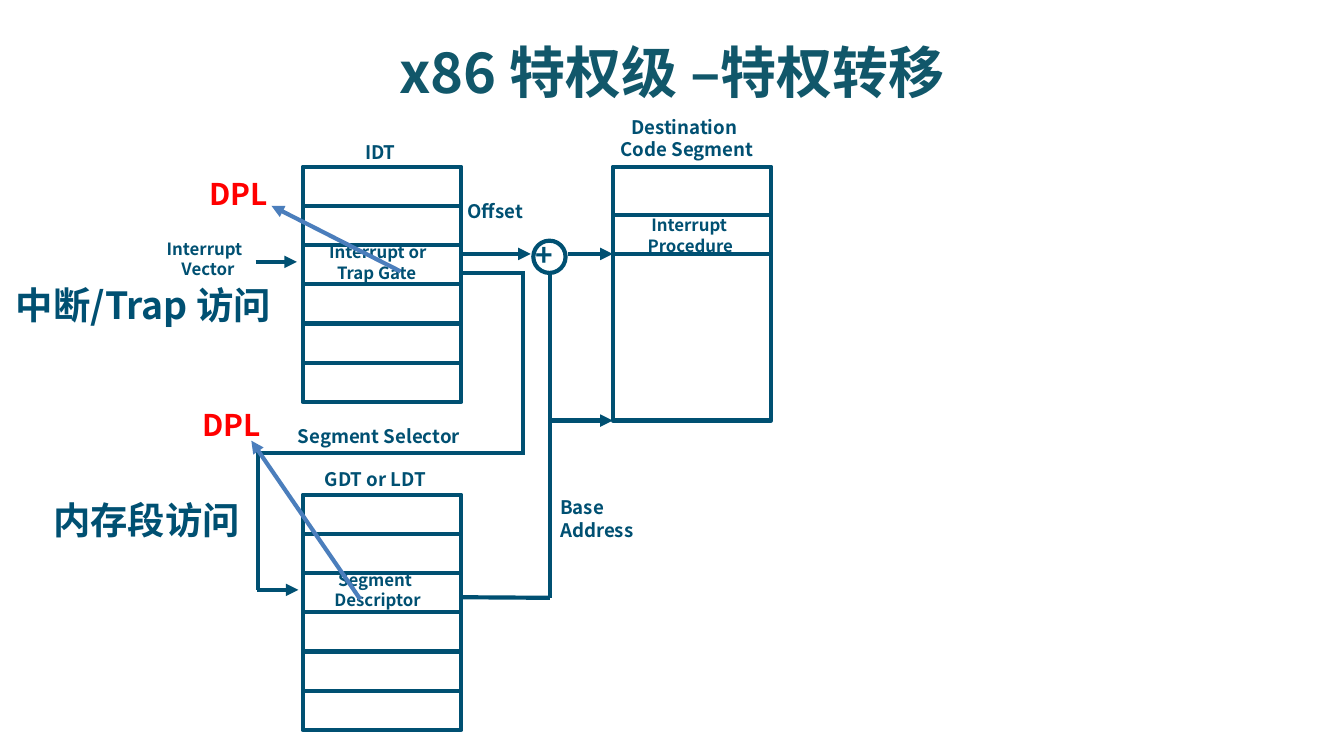
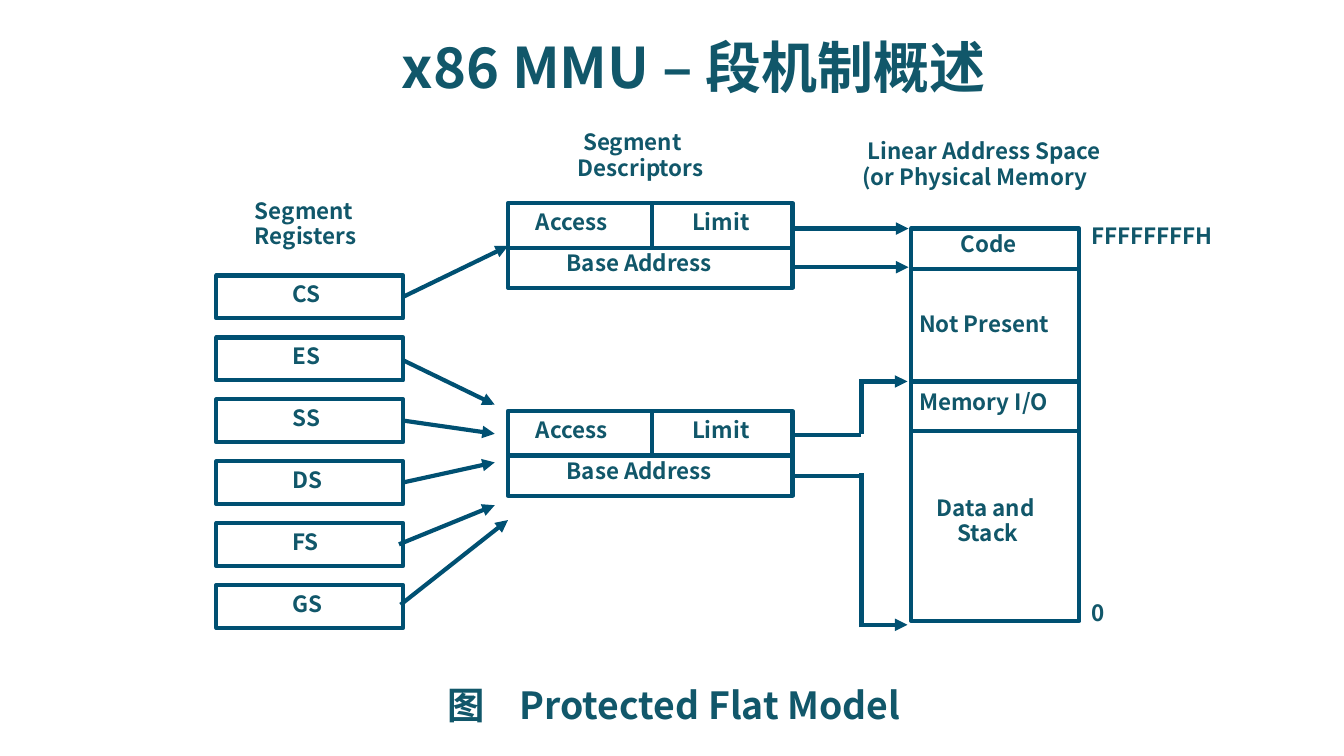
import lxml.etree
import pptx
import pptx.dml.color
import pptx.enum.shapes
import pptx.enum.text
import pptx.oxml.ns
import pptx.util

Cm = pptx.util.Cm
Pt = pptx.util.Pt
RGB = pptx.dml.color.RGBColor
SHAPE = pptx.enum.shapes.MSO_SHAPE
ALIGN = pptx.enum.text.PP_ALIGN
qn = pptx.oxml.ns.qn

FONT = "Noto Sans CJK SC"
NAVY = RGB(0x00, 0x50, 0x72)
TEAL = RGB(0x11, 0x57, 0x6A)
RED = RGB(0xFF, 0x00, 0x00)
BLUE = RGB(0x4B, 0x7E, 0xBC)
TIGHT = 0.95  # line spacing of the second slide

# All places are in centimetres.
# Slide 1: tables as left, top, width, height
GATES = [(5.72, 3.15, 3, 4.45), (5.72, 9.35, 3, 4.45)]
ROWS = 6
CODE = (11.58, 3.15, 3, 4.8)
CUTS = [4.06, 4.8]
PLUS = (10.08, 4.55, 0.61, 0.61)

# Labels: lines, left, top, width, size, colour, indent of each line
CALLS = [
    (["DPL"], 3.71, 3.2, 1.8, 16, RED, [0]),
    (["DPL"], 3.58, 7.57, 1.8, 16, RED, [0]),
    (["IDT"], 6.65, 2.54, 1.19, 10, NAVY, [0]),
    (["Interrupt", "Vector"], 2.9, 4.39, 2.18, 9, NAVY, [0, 0.28]),
    (["GDT or LDT"], 5.89, 8.71, 3.4, 10, NAVY, [0]),
    (["Interrupt or", "Trap Gate"], 5.97, 4.45, 2.97, 9, NAVY, [0, 0.15]),
    (["Segment", "Descriptor"], 6.07, 10.64, 2.57, 9, NAVY, [0.07, 0]),
    (["Segment Selector"], 5.28, 7.9, 4.42, 10, NAVY, [0.1]),
    (["Offset"], 8.51, 3.66, 1.78, 10, NAVY, [0.08]),
    (["Interrupt", "Procedure"], 11.99, 3.94, 2.59, 9, NAVY, [0.07, 0]),
    (["Destination", "Code Segment"], 11.48, 2.06, 3.58, 10, NAVY, [0.2, 0]),
    (["Base", "Address"], 10.34, 9.25, 3.58, 10, NAVY, [0, 0]),
    (["+"], 9.88, 4.34, 0.99, 16, NAVY, [0]),
    (["中断/Trap 访问"], 0.05, 5.21, 7.5, 20, NAVY, [0]),
]

# Lines: from x, y to x, y
FLOWS = [
    (4.83, 4.95, 5.61, 4.95),
    (4.85, 11.15, 5.64, 11.15),
    (8.74, 4.8, 10.03, 4.8),
    (10.74, 4.8, 11.58, 4.8),
    (10.41, 7.95, 11.58, 7.95),
]
WIRES = [
    (10.39, 5.16, 10.39, 11.3),
    (9.88, 5.13, 9.88, 8.59),
    (8.71, 5.16, 9.91, 5.16),
    (4.88, 8.56, 9.93, 8.56),
    (4.88, 8.51, 4.88, 11.15),
    (8.74, 11.29, 10.39, 11.3),
]
HINTS = [(7.57, 5.13, 5.13, 3.89), (6.81, 11.33, 4.75, 8.33)]

# Slide 2
REGS = ["CS", "ES", "SS", "DS", "FS", "GS"]
REG = (4.09, 5.21, 3.53, 0.81)
STEP = 1.17
DESCS = [3.84, 7.77]
DESC = (9.6, 5.38, 1.6)  # left, width, height
PARTS = [("Access", 9.88, 0, 2.31), ("Limit", 12.83, 0, 2.31),
         ("Base Address", 10.46, 0.79, 4.11)]
SPACE = (17.22, 4.32, 3.18, 7.42)
SPLITS = [5.08, 7.21, 8.15]

# Labels: lines, left, top, width, indent of each line
NOTES = [
    (["Segment", "Registers"], 4.57, 3.63, 3.07, [0, 0]),
    (["Segment", "Descriptors"], 10.67, 2.34, 3.86, [0.1, 0]),
    (["Linear Address Space", "(or Physical Memory"], 16.05, 2.51, 6.15, [0.1, 0]),
    (["Code"], 17.91, 4.27, 2.31, [0]),
    (["Not Present"], 17.12, 5.77, 3.58, [0]),
    (["Memory I/O"], 17.12, 7.24, 3.58, [0]),
    (["Data and", "Stack"], 17.45, 9.25, 3.58, [0, 0.4]),
    (["FFFFFFFFH"], 20.37, 4.11, 3.33, [0]),
    (["0"], 20.37, 11.23, 1.3, [0]),
]
LOADS = [
    (7.62, 5.61, 9.6, 4.65),
    (7.62, 6.81, 9.35, 7.65),
    (7.62, 7.95, 9.35, 8.2),
    (7.62, 9.12, 9.35, 8.74),
    (7.54, 10.29, 9.35, 9.55),
    (7.57, 11.43, 9.6, 9.83),
    (14.99, 4.32, 17.17, 4.32),
    (14.99, 5.05, 17.17, 5.05),
    (16.28, 7.21, 17.15, 7.21),
    (16.28, 11.81, 17.15, 11.81),
]
BENDS = [
    (14.99, 8.23, 16.28, 8.23),
    (16.28, 8.2, 16.28, 7.16),
    (14.99, 8.99, 16.28, 8.99),
    (16.28, 11.86, 16.28, 8.94),
]


def label(slide, lines, x, y, wide, size, color, dents=(0,),
          space=None, align=None, wrap=True, tab=None):
    tall = Pt(len(lines) * size * 1.2) + Cm(0.25)
    box = slide.shapes.add_textbox(Cm(x), Cm(y), Cm(wide), tall)
    frame = box.text_frame
    frame.word_wrap = wrap
    frame.auto_size = pptx.enum.text.MSO_AUTO_SIZE.SHAPE_TO_FIT_TEXT
    for i, (line, dent) in enumerate(zip(lines, dents)):
        para = frame.paragraphs[0] if i == 0 else frame.add_paragraph()
        props = para._p.get_or_add_pPr()
        if dent:
            props.set("marL", str(Cm(dent)))
        if tab:
            stops = lxml.etree.SubElement(props, qn("a:tabLst"))
            lxml.etree.SubElement(stops, qn("a:tab"), pos=str(Cm(tab)), algn="l")
        if space:
            para.line_spacing = space
        if align is not None:
            para.alignment = align
        run = para.add_run()
        run.text = line
        run.font.size = Pt(size)
        run.font.bold = True
        run.font.color.rgb = color
        run.font.name = FONT
        lxml.etree.SubElement(run._r.get_or_add_rPr(), qn("a:ea"), typeface=FONT)


def title(slide, text, x, wide, space=None):
    label(slide, [text], x, 0.58, wide, 30, TEAL, space=space, align=ALIGN.CENTER)


def frame(slide, x, y, wide, tall, kind=SHAPE.RECTANGLE):
    shape = slide.shapes.add_shape(kind, Cm(x), Cm(y), Cm(wide), Cm(tall))
    shape.shadow.inherit = False
    shape.fill.background()
    shape.line.color.rgb = NAVY
    shape.line.width = Pt(2.25)


def wire(slide, ends, color=NAVY, arrow=False):
    line = slide.shapes.add_connector(
        pptx.enum.shapes.MSO_CONNECTOR.STRAIGHT, *[Cm(v) for v in ends])
    line.line.color.rgb = color
    line.line.width = Pt(2.25)
    if arrow:
        lxml.etree.SubElement(line.line._get_or_add_ln(), qn("a:tailEnd"),
                              type="triangle")
    lxml.etree.SubElement(line._element.spPr, qn("a:effectLst"))


def stack(slide, x, y, wide, tall, cuts):
    """Draw a frame cut across at the given heights."""
    frame(slide, x, y, wide, tall)
    for cut in cuts:
        wire(slide, (x, cut, x + wide, cut))


def shift(slide):
    title(slide, "x86 特权级 –特权转移", 0, 25.4)
    # Tables
    for x, y, wide, tall in GATES:
        stack(slide, x, y, wide, tall, [y + tall * i / ROWS for i in range(1, ROWS)])
    stack(slide, *CODE, CUTS)
    frame(slide, *PLUS, SHAPE.OVAL)
    # Labels
    for call in CALLS:
        label(slide, *call)
    label(slide, ["内存段访问"], 0.74, 9.27, 4.06, 20, NAVY,
          align=ALIGN.CENTER, wrap=False)
    # Wires and arrows
    for ends in WIRES:
        wire(slide, ends)
    for ends in FLOWS:
        wire(slide, ends, arrow=True)
    for ends in HINTS:
        wire(slide, ends, BLUE, arrow=True)


def model(slide):
    title(slide, "x86 MMU – 段机制概述", 6.76, 12.7, TIGHT)
    # Segment registers
    x, top, wide, tall = REG
    for i, name in enumerate(REGS):
        y = top + i * STEP
        frame(slide, x, y, wide, tall)
        label(slide, [name], 5.28, y, 1.45, 12, TEAL, space=TIGHT)
    # Segment descriptors
    x, wide, tall = DESC
    for y in DESCS:
        stack(slide, x, y, wide, tall, [y + 0.84])
        wire(slide, (12.32, y, 12.32, y + 0.81))
        for text, left, down, span in PARTS:
            label(slide, [text], left, y + down, span, 12, TEAL, space=TIGHT)
    # Address space
    stack(slide, *SPACE, SPLITS)
    for lines, x, y, wide, dents in NOTES:
        label(slide, lines, x, y, wide, 12, TEAL, dents, TIGHT)
    # Wires and arrows
    for ends in BENDS:
        wire(slide, ends)
    for ends in LOADS:
        wire(slide, ends, arrow=True)
    # Caption
    label(slide, ["图\tProtected Flat Model"], 8.2, 12.83, 12.07, 20, TEAL,
          space=TIGHT, tab=1.37)


def main():
    deck = pptx.Presentation()
    deck.slide_width = Cm(25.4)
    deck.slide_height = Cm(14.29)
    for draw in (shift, model):
        draw(deck.slides.add_slide(deck.slide_layouts[6]))
    deck.save("out.pptx")


if __name__ == "__main__":
    main()
